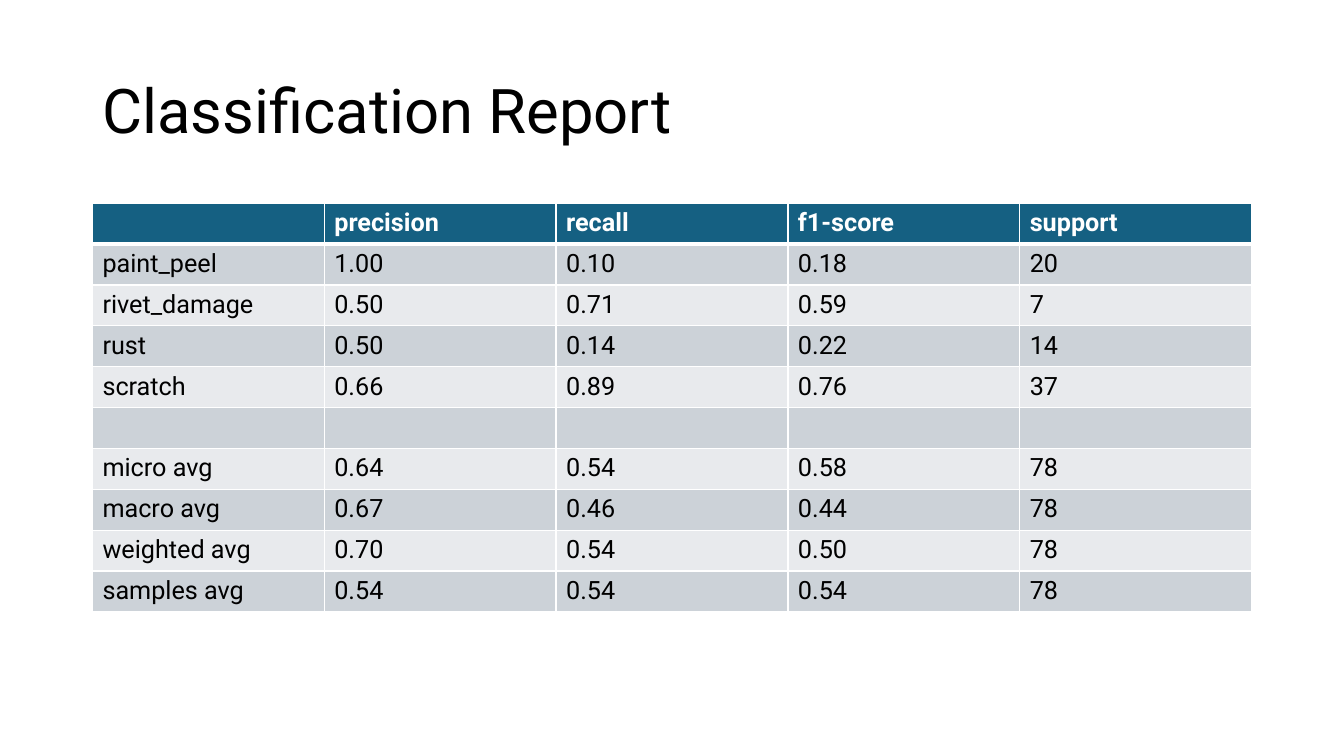
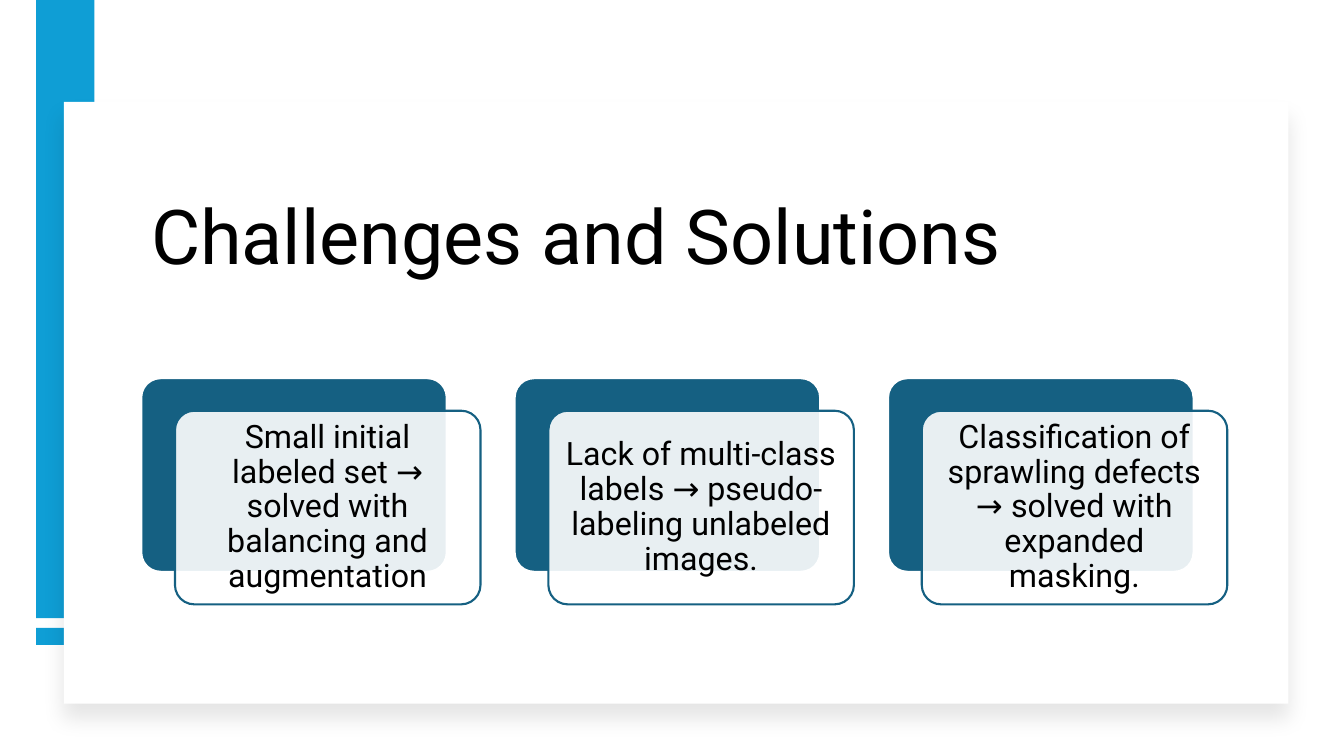
from lxml.etree import SubElement as Sub
from pptx import Presentation
from pptx.dml.color import RGBColor
from pptx.enum.shapes import MSO_SHAPE as Shape
from pptx.enum.text import MSO_ANCHOR as Anchor, PP_ALIGN as Align
from pptx.oxml.ns import qn
from pptx.util import Cm, Pt

FONT = "Roboto"
BLACK, WHITE = "000000", "FFFFFF"
TEAL, SKY = "156082", "0F9ED5"
BANDS = ["E8EAED", "CCD2D8"]


def paint(color, hexa):
    """Apply a hex string to a fill, line or font."""
    if hasattr(color, "solid"):
        color.solid()
        color.fore_color.rgb = RGBColor.from_string(hexa)
    else:
        color.color.rgb = RGBColor.from_string(hexa)


def tint(parent, hexa, alpha):
    """Add a colour element with an opacity in percent."""
    color = Sub(parent, qn("a:srgbClr"), val=hexa)
    Sub(color, qn("a:alpha"), val=str(alpha * 1000))


class Deck:
    def __init__(self):
        self.prs = Presentation()
        self.prs.slide_width, self.prs.slide_height = Cm(33.87), Cm(19.05)
        self.slide = None

    def page(self):
        self.slide = self.prs.slides.add_slide(self.prs.slide_layouts[6])

    def add_text(self, para, text, size, color=BLACK, bold=False):
        run = para.add_run()
        run.text = text
        run.font.name, run.font.size, run.font.bold = FONT, Pt(size), bold
        paint(run.font, color)

    def title(self, text, box, size, anchor):
        frame = self.slide.shapes.add_textbox(*map(Cm, box)).text_frame
        frame.word_wrap, frame.vertical_anchor = True, anchor
        para = frame.paragraphs[0]
        para.line_spacing = 0.9
        self.add_text(para, text, size)

    def block(self, box, fill, line=None, kind=Shape.RECTANGLE):
        item = self.slide.shapes.add_shape(kind, *map(Cm, box))
        item.shadow.inherit = False
        paint(item.fill, fill)
        if line:
            paint(item.line, line)
            item.line.width = Pt(1.5)
        else:
            item.line.fill.background()
        return item

    def panel(self, box):
        props = self.block(box, WHITE)._element.spPr
        shade = Sub(props.find(qn("a:effectLst")), qn("a:outerShdw"),
                    blurRad=str(Pt(15)), dist=str(Pt(11)), dir="5400000",
                    algn="t", rotWithShape="0")
        tint(shade, BLACK, 10)

    def card(self, left, top, text):
        wide, high = 7.7, 4.88
        back = self.block((left, top, wide, high), TEAL, WHITE,
                          Shape.ROUNDED_RECTANGLE)
        front = self.block((left + 0.85, top + 0.82, wide, high), WHITE, TEAL,
                           Shape.ROUNDED_RECTANGLE)
        for item in (back, front):
            item.adjustments[0] = 0.1
        # Let the back card show through slightly
        fill = front._element.spPr.find(qn("a:solidFill"))
        fill.remove(fill[0])
        tint(fill, WHITE, 90)
        frame = front.text_frame
        frame.word_wrap, frame.vertical_anchor = True, Anchor.MIDDLE
        frame.margin_left = frame.margin_right = Cm(0.25)
        frame.margin_top = frame.margin_bottom = Cm(0.25)
        para = frame.paragraphs[0]
        para.alignment, para.line_spacing = Align.CENTER, 0.9
        self.add_text(para, text, 23)

    def edges(self, cell, top, bottom):
        props = cell._tc.get_or_add_tcPr()
        for side, width in (("L", 1), ("R", 1), ("T", top), ("B", bottom)):
            line = Sub(props, qn("a:ln" + side), w=str(Pt(width)))
            Sub(Sub(line, qn("a:solidFill")), qn("a:srgbClr"), val=WHITE)

    def table(self, rows, box):
        grid = self.slide.shapes.add_table(
            len(rows), len(rows[0]), *map(Cm, box)).table
        for r, row in enumerate(rows):
            head = r == 0
            for c, text in enumerate(row):
                cell = grid.cell(r, c)
                self.edges(cell, 3 if r == 1 else 1, 3 if head else 1)
                paint(cell.fill, TEAL if head else BANDS[r % 2])
                if text:
                    self.add_text(cell.text_frame.paragraphs[0], text, 18,
                                  WHITE if head else BLACK, head)


def main():
    deck = Deck()

    # Classification report
    deck.page()
    deck.title("Classification Report", (2.33, 1.02, 29.21, 3.68), 44,
               Anchor.MIDDLE)
    deck.table([
        ["", "precision", "recall", "f1-score", "support"],
        ["paint_peel", "1.00", "0.10", "0.18", "20"],
        ["rivet_damage", "0.50", "0.71", "0.59", "7"],
        ["rust", "0.50", "0.14", "0.22", "14"],
        ["scratch", "0.66", "0.89", "0.76", "37"],
        [""] * 5,
        ["micro avg", "0.64", "0.54", "0.58", "78"],
        ["macro avg", "0.67", "0.46", "0.44", "78"],
        ["weighted avg", "0.70", "0.54", "0.50", "78"],
        ["samples avg", "0.54", "0.54", "0.54", "78"],
    ], (2.33, 5.12, 29.21, 10.3))

    # Challenges: side bands, panel and cards
    deck.page()
    for top, high in ((0, 15.58), (15.82, 0.43)):
        deck.block((0.91, top, 1.47, high), SKY)
    deck.panel((1.61, 2.57, 30.86, 15.16))
    deck.title("Challenges and Solutions", (3.56, 3.43, 27.36, 3.76), 54,
               Anchor.BOTTOM)
    cards = [
        "Small initial labeled set → solved with balancing and augmentation",
        "Lack of multi-class labels → pseudo-labeling unlabeled images.",
        "Classification of sprawling defects → solved with expanded masking.",
    ]
    for i, text in enumerate(cards):
        deck.card(3.56 + 9.41 * i, 9.53, text)

    deck.prs.save("out.pptx")


if __name__ == "__main__":
    main()
